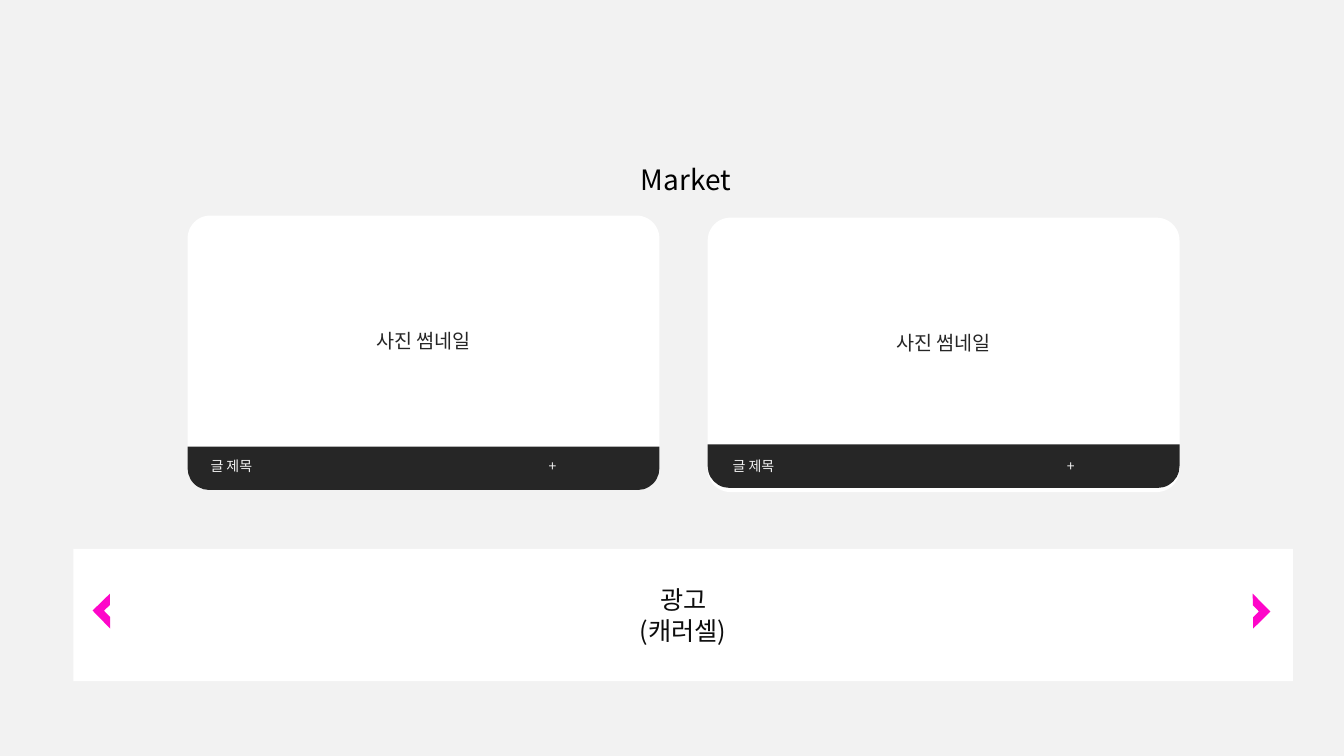
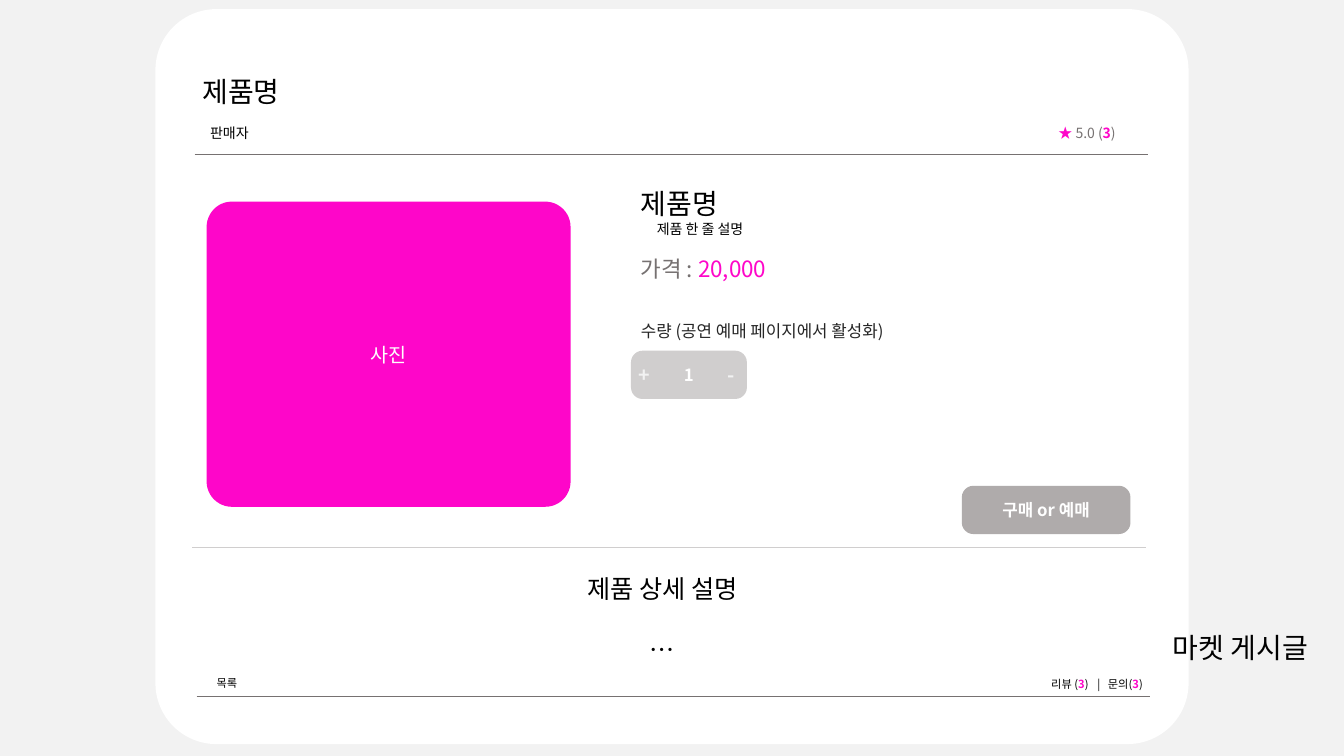
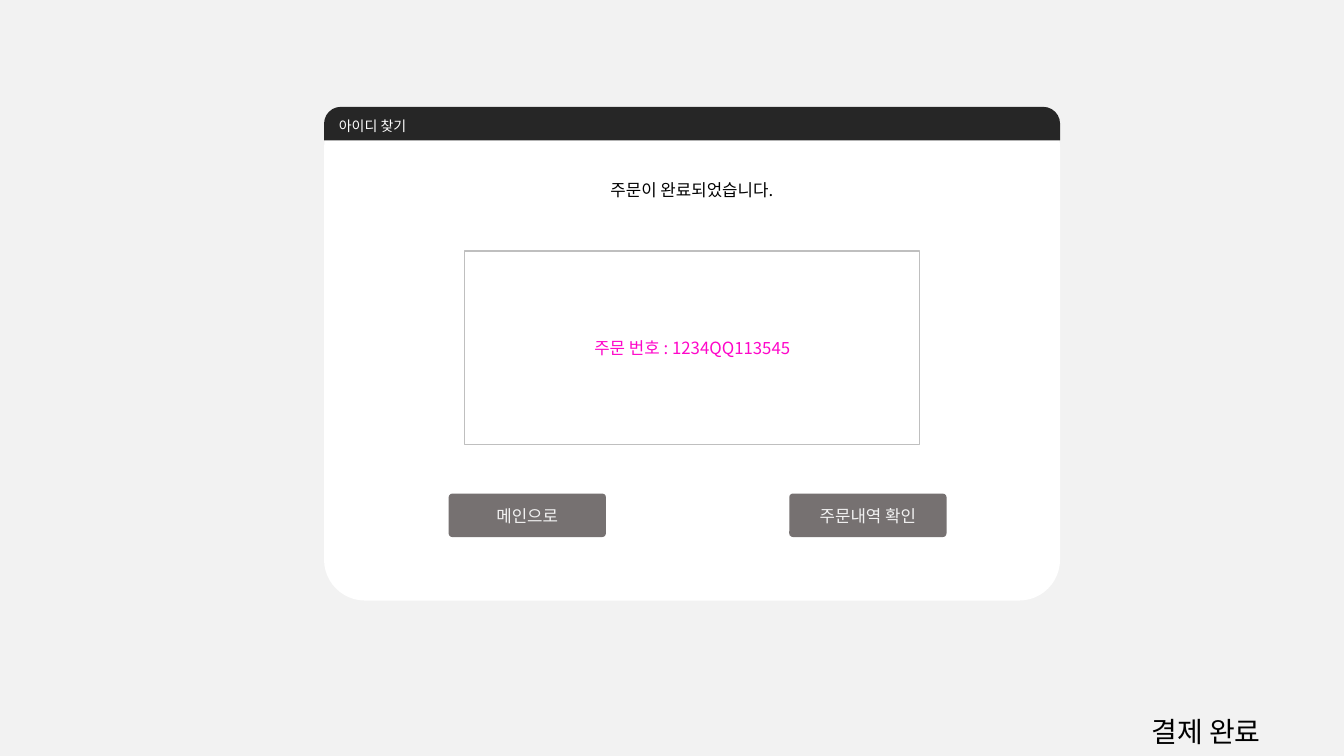
from pptx import Presentation
from pptx.dml.color import RGBColor
from pptx.enum.shapes import MSO_CONNECTOR, MSO_SHAPE
from pptx.enum.text import MSO_ANCHOR, MSO_AUTO_SIZE, PP_ALIGN
from pptx.oxml.ns import qn
from pptx.oxml.xmlchemy import OxmlElement
from pptx.util import Pt

RECT = MSO_SHAPE.RECTANGLE
ROUND = MSO_SHAPE.ROUNDED_RECTANGLE
ROUND_TOP = MSO_SHAPE.ROUND_2_SAME_RECTANGLE
HALF_FRAME = MSO_SHAPE.HALF_FRAME
STRAIGHT = MSO_CONNECTOR.STRAIGHT
LEFT, CENTER = PP_ALIGN.LEFT, PP_ALIGN.CENTER
TOP, MIDDLE = MSO_ANCHOR.TOP, MSO_ANCHOR.MIDDLE
FIXED = MSO_AUTO_SIZE.NONE

FONT = "Noto Sans CJK KR"
LINE_FACTOR = 1.22
CORNER = 0.083
PAGE, WHITE, BLACK, DARK = "F2F2F2", "FFFFFF", "000000", "262626"
PINK, GRAY, SILVER, PALE = "FE06C9", "767171", "AFABAB", "D0CECE"


def rgb(color):
    return RGBColor.from_string(color)


def assign(target, values):
    for name, value in values.items():
        setattr(target, name, value)


def line(*runs, size=12, color=BLACK, before=0, indent=0, tabs=()):
    return {
        "runs": [run if isinstance(run, tuple) else (run, color, False) for run in runs],
        "size": size, "before": before, "indent": indent, "tabs": tabs,
    }


class Deck:
    def __init__(self):
        self.deck = Presentation()
        assign(self.deck, {"slide_width": Pt(960), "slide_height": Pt(540)})
        backdrop = self.deck.slide_master.background.fill
        backdrop.solid()
        backdrop.fore_color.rgb = rgb(PAGE)
        self.slide = None

    def new_slide(self):
        self.slide = self.deck.slides.add_slide(self.deck.slide_layouts[5])

    def title(self, text, center, top):
        title = self.slide.shapes.title
        self.place(title, center - 70, top, 140, 32)
        self.set_lines(title, [line(text, size=20)], CENTER, TOP)
        title.element.getparent().append(title.element)

    def place(self, shape, left, top, width, height):
        assign(shape, {"left": Pt(left), "top": Pt(top),
                       "width": Pt(width), "height": Pt(height)})

    def set_lines(self, shape, lines, align, anchor, lift=0):
        frame = shape.text_frame
        assign(frame, {
            "word_wrap": True, "auto_size": FIXED, "vertical_anchor": anchor,
            "margin_left": Pt(7.2), "margin_right": Pt(7.2),
            "margin_top": Pt(3.6), "margin_bottom": Pt(3.6 + lift),
        })
        for index, content in enumerate(lines):
            paragraph = frame.add_paragraph() if index else frame.paragraphs[0]
            self.indent(paragraph, content["indent"], content["tabs"])
            assign(paragraph, {
                "alignment": align, "space_before": Pt(content["before"]),
                "line_spacing": Pt(round(content["size"] * LINE_FACTOR, 1)),
            })
            for text, color, bold in content["runs"]:
                run = paragraph.add_run()
                run.text = text
                assign(run.font, {"name": FONT, "size": Pt(content["size"]), "bold": bold})
                run.font.color.rgb = rgb(color)
        for latin in list(shape.element.iter(qn("a:latin"))):
            east_asian = OxmlElement("a:ea")
            east_asian.set("typeface", FONT)
            latin.addnext(east_asian)

    def indent(self, paragraph, indent, tabs):
        properties = paragraph._p.get_or_add_pPr()
        if indent:
            properties.set("marL", str(Pt(indent)))
        if tabs:
            stops = OxmlElement("a:tabLst")
            for position in tabs:
                stop = OxmlElement("a:tab")
                stop.set("pos", str(Pt(position)))
                stop.set("algn", "l")
                stops.append(stop)
            properties.append(stops)

    def text(self, box, *lines, align=LEFT, anchor=TOP):
        label = self.slide.shapes.add_textbox(*map(Pt, box))
        self.set_lines(label, lines, align, anchor)

    def shape(self, kind, box, fill=None, border=None, corners=(), rotation=0,
              lines=(), align=CENTER, lift=0):
        shape = self.slide.shapes.add_shape(kind, *map(Pt, box))
        shape.shadow.inherit = False
        shape.rotation = rotation
        for index, corner in enumerate(corners):
            shape.adjustments[index] = corner
        if fill:
            shape.fill.solid()
            shape.fill.fore_color.rgb = rgb(fill)
        else:
            shape.fill.background()
        if border:
            shape.line.color.rgb = rgb(border)
            shape.line.width = Pt(0.75)
        else:
            shape.line.fill.background()
        if lines:
            self.set_lines(shape, lines, align, MIDDLE, lift)

    def button(self, box, fill, corner, caption, color, bold=False):
        self.shape(ROUND, box, fill, corners=[corner],
                   lines=[line((caption, color, bold))])

    def rule(self, left, top, color):
        rule = self.slide.shapes.add_connector(
            STRAIGHT, Pt(left), Pt(top), Pt(left + 681), Pt(top))
        rule.line.color.rgb = rgb(color)
        rule.line.width = Pt(0.5)
        rule.element.spPr.append(OxmlElement("a:effectLst"))

    def market_card(self, left, top, bar_top, caption_left, plus_tab):
        self.shape(ROUND, (left, top, 337, 196), WHITE, corners=[CORNER],
                   lines=[line("사진 썸네일", size=14, color=DARK)], lift=17)
        self.shape(ROUND_TOP, (left, bar_top, 337, 31), DARK,
                   corners=[0.5, 0], rotation=180)
        self.text((caption_left, 323.3, 317.5, 19.4),
                  line("글 제목\t+", size=10, color=PAGE, tabs=[plus_tab]))


def market(deck):
    deck.new_slide()
    deck.shape(RECT, (52.5, 392, 871, 94.5), WHITE,
               lines=[line(text, size=18, color="0D0D0D") for text in ("광고", "(캐러셀)")])
    for left, rotation in ((70, 315.7), (886.3, 135.4)):
        deck.shape(HALF_FRAME, (left, 427.5, 17.3, 18), PINK, rotation=rotation)
    deck.market_card(134, 154, 319, 143.3, 241.5)
    deck.market_card(505.5, 155.5, 317.5, 516.2, 238.7)
    deck.title("Market", 490, 112.3)


def product_post(deck):
    count = ("3", PINK, True)
    deck.new_slide()
    deck.shape(ROUND, (111, 6.5, 738, 525), WHITE, corners=[CORNER])
    deck.text((137.5, 49, 690, 55.4),
              line("제품명", size=20),
              line("판매자\t", ("★ ", PINK, False), ("5.0 (", GRAY, False),
                   count, (")", GRAY, False),
                   size=10, before=12, indent=5.5, tabs=[606]))
    deck.rule(139, 110.2, GRAY)
    deck.shape(ROUND, (147.6, 144, 260, 218), PINK, corners=[CORNER],
               lines=[line("사진", size=14, color=WHITE)])
    deck.text((450.7, 129.6, 324, 120),
              line("제품명", size=20),
              line("제품 한 줄 설명", size=10, indent=11.4),
              line(("가격 : ", GRAY, False), ("20,000", PINK, False), size=16, before=12),
              line("수량 (공연 예매 페이지에서 활성화)", color=DARK, before=28))
    deck.text((743.8, 480.2, 86.4, 17.3),
              line("리뷰 (", count, ")\t|\t문의(", count, ")", size=8, tabs=[33, 40.5]))
    deck.rule(140.4, 497.5, GRAY)
    deck.button((450.7, 250.5, 82.8, 34.5), PALE, 0.24, "1", WHITE, True)
    for sign, left in (("+", 447), ("-", 508.5)):
        deck.text((left, 256, 27, 23), line((sign, PAGE, True), size=14),
                  align=CENTER, anchor=MIDDLE)
    deck.button((687, 347, 120.5, 34.5), SILVER, 0.24, "구매 or 예매", WHITE, True)
    deck.rule(137.5, 391, PALE)
    deck.text((337.7, 405.4, 270.7, 72.7),
              line("제품 상세 설명", size=18),
              line("…", size=18, before=22), align=CENTER)
    deck.text((147.6, 479.5, 36, 17.3), line("목록", size=8))
    deck.title("마켓 게시글", 886, 446.4)


def payment_done(deck):
    deck.new_slide()
    deck.shape(ROUND, (231.5, 76.3, 525.7, 352.7), WHITE, corners=[CORNER])
    deck.shape(ROUND_TOP, (231.5, 76.3, 525.7, 24), DARK, corners=[0.5, 0],
               lines=[line("아이디 찾기", size=10, color=WHITE)], align=LEFT)
    deck.text((368.6, 124.5, 251.3, 21.6), line("주문이 완료되었습니다."), align=CENTER)
    deck.shape(RECT, (332, 179.3, 325, 138.2), border="BFBFBF",
               lines=[line("주문 번호 : 1234QQ113545", color=PINK)])
    for caption, left in (("메인으로", 320.5), ("주문내역 확인", 563.8)):
        deck.button((left, 352.6, 112.3, 31), GRAY, CORNER, caption, PAGE)
    deck.title("결제 완료", 861.5, 506.2)


def main():
    deck = Deck()
    for build in (market, product_post, payment_done):
        build(deck)
    deck.deck.save("out.pptx")


if __name__ == "__main__":
    main()
